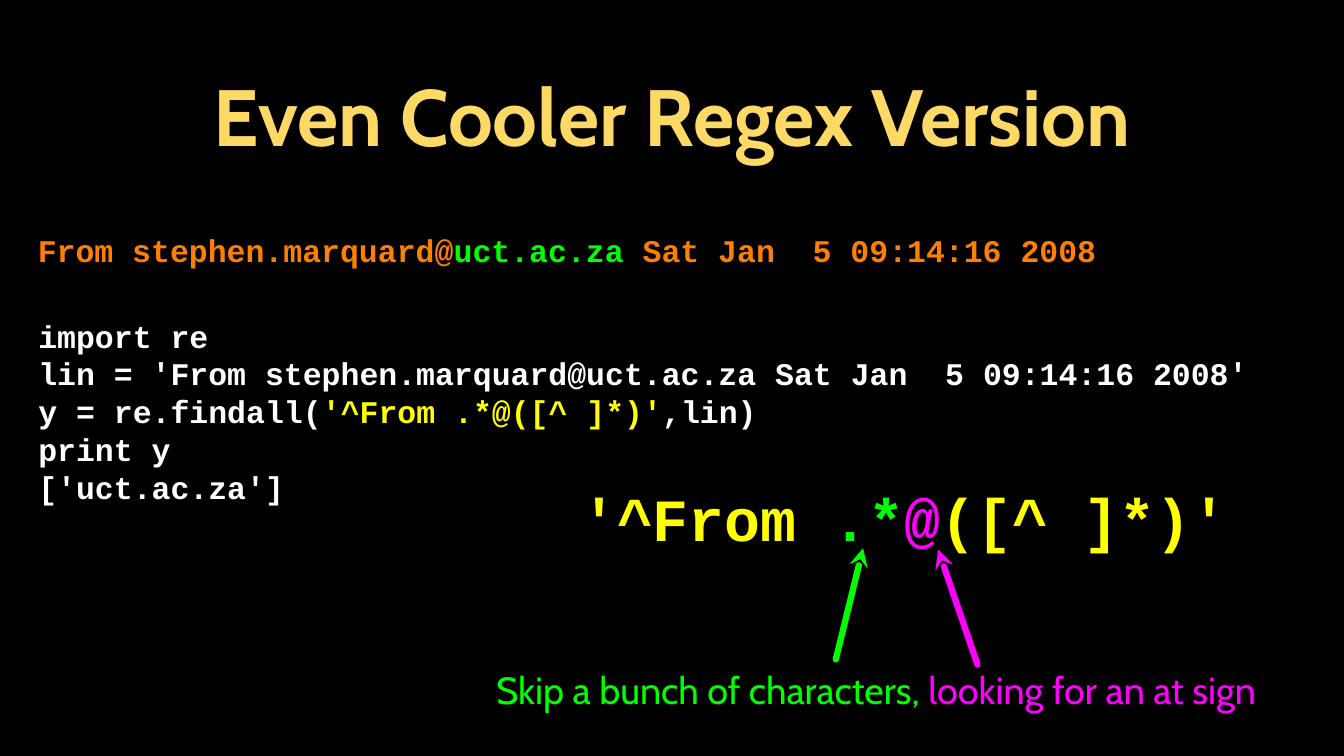
from pptx import Presentation
from pptx.dml.color import RGBColor
from pptx.enum.shapes import MSO_CONNECTOR
from pptx.enum.text import MSO_ANCHOR, PP_ALIGN
from pptx.oxml.ns import qn
from pptx.util import Pt
from lxml import etree

BLACK = RGBColor(0x00, 0x00, 0x00)
WHITE = RGBColor(0xFF, 0xFF, 0xFF)
GOLD = RGBColor(0xFF, 0xD9, 0x66)
ORANGE = RGBColor(0xFF, 0x7F, 0x00)
YELLOW = RGBColor(0xFF, 0xFF, 0x00)
GREEN = RGBColor(0x00, 0xFF, 0x00)
MAGENTA = RGBColor(0xFF, 0x00, 0xFF)


class RegexSlide:
    PROSE = "Cabin"
    CODE = "Courier New"

    def __init__(self, deck):
        self.slide = deck.slides.add_slide(deck.slide_layouts[5])
        background = self.slide.background.fill
        background.solid()
        background.fore_color.rgb = BLACK

    def fill_text(self, frame, lines, font, size, bold, align, inset=0):
        """Each line is a list of (text, colour) runs."""
        frame.word_wrap = True
        frame.vertical_anchor = MSO_ANCHOR.MIDDLE
        frame.margin_left = frame.margin_right = Pt(inset)
        frame.margin_top = frame.margin_bottom = Pt(inset)
        for number, runs in enumerate(lines):
            paragraph = frame.add_paragraph() if number else frame.paragraphs[0]
            paragraph.alignment = align
            for text, colour in runs:
                run = paragraph.add_run()
                run.text = text
                run.font.name = font
                run.font.size = Pt(size)
                run.font.bold = bold
                run.font.color.rgb = colour

    def title(self, text, left, top, width, height):
        heading = self.slide.shapes.title
        heading.left, heading.top = Pt(left), Pt(top)
        heading.width, heading.height = Pt(width), Pt(height)
        self.fill_text(heading.text_frame, [[(text, GOLD)]], self.PROSE, 76,
                       True, PP_ALIGN.CENTER, inset=3)

    def box(self, left, top, width, height):
        return self.slide.shapes.add_textbox(
            Pt(left), Pt(top), Pt(width), Pt(height)).text_frame

    def code(self, lines, size, *place):
        self.fill_text(self.box(*place), lines, self.CODE, size, True,
                       PP_ALIGN.LEFT)

    def caption(self, runs, *place):
        self.fill_text(self.box(*place), [runs], self.PROSE, 36, False,
                       PP_ALIGN.CENTER)

    def pointer(self, colour, tip_x, tip_y, foot_x, foot_y):
        arrow = self.slide.shapes.add_connector(
            MSO_CONNECTOR.STRAIGHT, Pt(tip_x), Pt(tip_y), Pt(foot_x), Pt(foot_y))
        arrow.line.color.rgb = colour
        arrow.line.width = Pt(6)
        outline = arrow._element.spPr.find(qn("a:ln"))
        outline.set("cap", "rnd")
        etree.SubElement(outline, qn("a:round"))
        etree.SubElement(outline, qn("a:headEnd"), type="stealth")
        etree.SubElement(arrow._element.spPr, qn("a:effectLst"))


deck = Presentation()
deck.slide_width, deck.slide_height = Pt(1280), Pt(720)
page = RegexSlide(deck)

page.title("Even Cooler Regex Version", 91, 19, 1097, 181)

# Enlarged pattern with its explanation
page.code([[("'^From ", YELLOW), (".*", GREEN), ("@", MAGENTA),
            ("([^ ]*)'", YELLOW)]], 57, 553.5, 458.5, 660, 69)
page.caption([("Skip a bunch of characters, ", GREEN),
              ("looking for an at sign", MAGENTA)], 400, 632, 869, 49)
page.pointer(GREEN, 822, 522, 796, 628)
page.pointer(MAGENTA, 893.5, 523.5, 931, 633)

# Mail header line
page.code([[("From stephen.marquard@", ORANGE), ("uct.ac.za", GREEN),
            (" Sat Jan  5 09:14:16 2008", ORANGE)]], 30, 36, 211.5, 1219, 53)

# Program and its output
page.code([
    [("import re ", WHITE)],
    [("lin = 'From stephen.marquard@uct.ac.za Sat Jan  5 09:14:16 2008'", WHITE)],
    [("y = re.findall(", WHITE), ("'^From .*@([^ ]*)'", YELLOW), (",lin)", WHITE)],
    [("print y", WHITE)],
    [("['uct.ac.za']", WHITE)],
], 30, 36.5, 302.5, 1241, 178)

deck.save("out.pptx")
